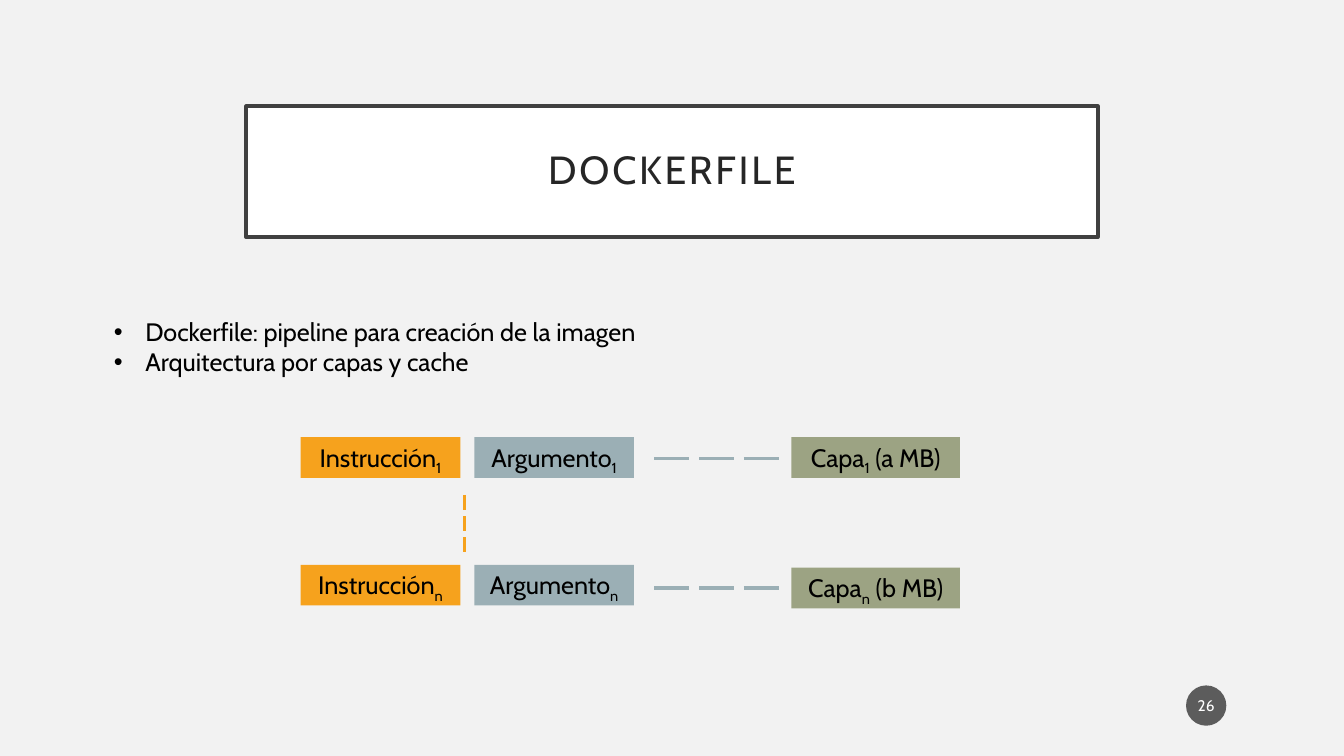
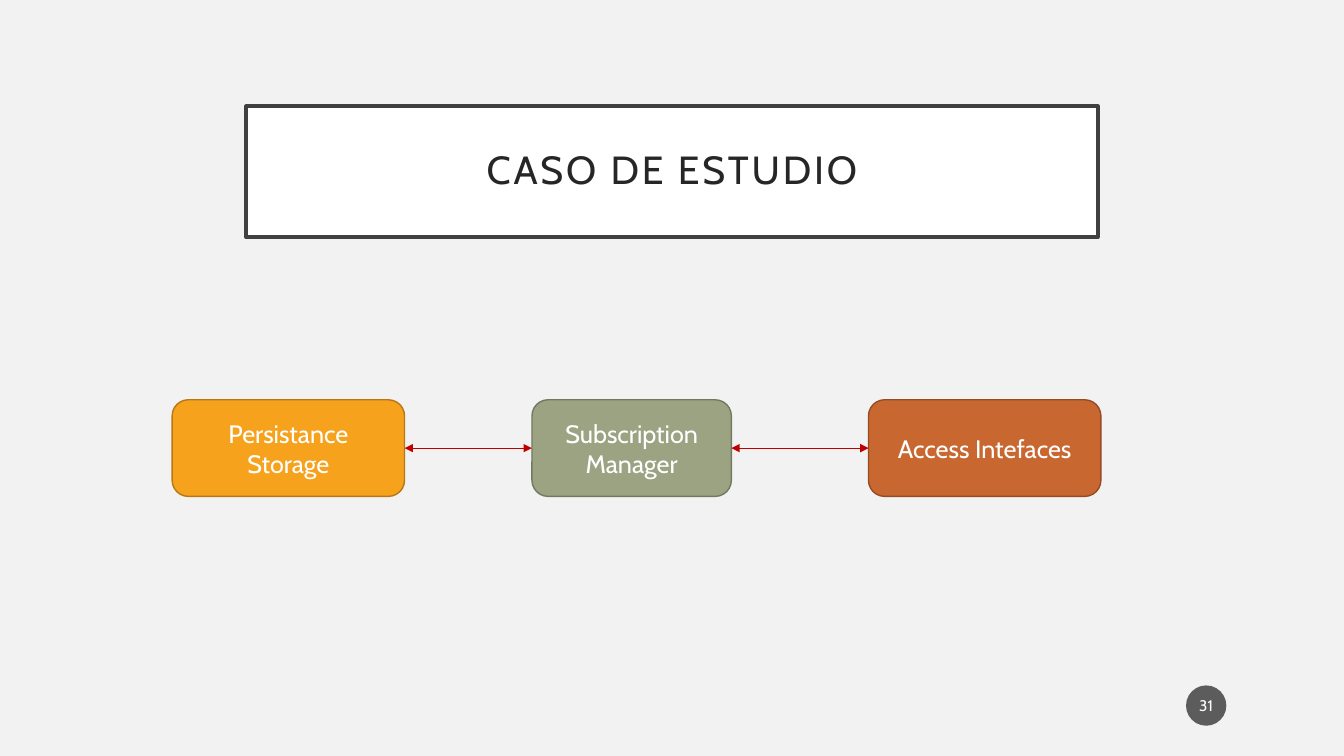
from lxml import etree
from pptx import Presentation
from pptx.dml.color import RGBColor
from pptx.enum.shapes import MSO_CONNECTOR, MSO_SHAPE
from pptx.enum.text import MSO_ANCHOR, MSO_AUTO_SIZE, PP_ALIGN
from pptx.oxml.ns import qn
from pptx.util import Pt

RECT = MSO_SHAPE.RECTANGLE
ROUNDED = MSO_SHAPE.ROUNDED_RECTANGLE
OVAL = MSO_SHAPE.OVAL
STRAIGHT = MSO_CONNECTOR.STRAIGHT
TOP = MSO_ANCHOR.TOP
MIDDLE = MSO_ANCHOR.MIDDLE
CENTER = PP_ALIGN.CENTER
FIT_SHAPE = MSO_AUTO_SIZE.SHAPE_TO_FIT_TEXT

FONT = "Cabin"
COLORS = {
    "background": "F2F2F2",
    "white": "FFFFFF",
    "black": "000000",
    "title": "262626",
    "frame": "404040",
    "badge": "1D1D1D",
    "orange": "F6A21D",
    "orange_edge": "B67815",
    "blue": "9BAFB5",
    "green": "9CA383",
    "green_edge": "737961",
    "rust": "C96731",
    "rust_edge": "954C24",
    "arrow": "C00000",
}
RGB = {name: RGBColor.from_string(value) for name, value in COLORS.items()}


def add_box(slide, preset, place, fill, runs, size=18, color="black", edge=None, edge_width=1):
    box = slide.shapes.add_shape(preset, *[Pt(length) for length in place])
    box.shadow.inherit = False
    box.fill.solid()
    box.fill.fore_color.rgb = RGB[fill]
    if edge:
        box.line.color.rgb = RGB[edge]
        box.line.width = Pt(edge_width)
    else:
        box.line.fill.background()
    box.text_frame.word_wrap = True
    box.text_frame.vertical_anchor = MIDDLE
    paragraph = box.text_frame.paragraphs[0]
    paragraph.alignment = CENTER
    paragraph.font.name = FONT
    paragraph.font.size = Pt(size)
    paragraph.font.color.rgb = RGB[color]
    for text, baseline in runs:
        run = paragraph.add_run()
        run.text = text
        if baseline:
            run._r.get_or_add_rPr().set("baseline", str(baseline * 1000))
    return box


def add_line(slide, start, end, color, width):
    line = slide.shapes.add_connector(STRAIGHT, *[Pt(length) for length in start + end])
    line.line.color.rgb = RGB[color]
    line.line.width = Pt(width)
    etree.SubElement(line._element.spPr, qn("a:effectLst"))
    return line


prs = Presentation()
prs.slide_width = Pt(960)
prs.slide_height = Pt(540)
prs.slide_master.background.fill.solid()
prs.slide_master.background.fill.fore_color.rgb = RGB["background"]

slides = []
for heading, number in [("DOCKERFILE", "26"), ("CASO DE ESTUDIO", "31")]:
    slide = prs.slides.add_slide(prs.slide_layouts[6])
    slides.append(slide)

    title = add_box(slide, RECT, (175.8, 75.8, 608.4, 93.6), "white", [(heading, 0)],
                    28, "title", "frame", 2.5)
    frame = title.text_frame
    frame.margin_left = frame.margin_right = frame.margin_top = frame.margin_bottom = Pt(14.4)
    frame.paragraphs[0].line_spacing = 0.9
    frame.paragraphs[0].runs[0]._r.get_or_add_rPr().set("spc", "200")

    badge = add_box(slide, OVAL, (847.2, 489.6, 28.8, 28.8), "badge", [(number, 0)], 11, "white")
    badge.text_frame.margin_left = badge.text_frame.margin_right = Pt(1.4)
    badge_color = badge._element.spPr.find(qn("a:solidFill")).find(qn("a:srgbClr"))
    etree.SubElement(badge_color, qn("a:alpha")).set("val", "70000")

dockerfile, case_study = slides

summary = dockerfile.shapes.add_textbox(Pt(74.2), Pt(222.5), Pt(405.4), Pt(51)).text_frame
summary.word_wrap = True
points = ["Dockerfile: pipeline para creación de la imagen", "Arquitectura por capas y cache"]
summary.text = "\n".join(points)
for paragraph in summary.paragraphs:
    paragraph.font.name = FONT
    paragraph.font.size = Pt(18)
    paragraph.font.color.rgb = RGB["black"]
    properties = paragraph._p.get_or_add_pPr()
    properties.set("marL", str(Pt(22.5)))
    properties.set("indent", str(-Pt(22.5)))
    bullet_font = etree.Element(qn("a:buFont"), typeface="Arial")
    bullet = etree.Element(qn("a:buChar"), char="•")
    properties.insert(0, bullet_font)
    bullet_font.addnext(bullet)

ROW_HEIGHT = 29.1
DASHES = 3
for index, size_label, step_top, layer_top, dash_y in [
    ("1", " (a MB)", 312.3, 312.3, 327.5),
    ("n", " (b MB)", 403.4, 405.5, 419.9),
]:
    for name, suffix, left, top, width, fill in [
        ("Instrucción", "", 214.8, step_top, 114, "orange"),
        ("Argumento", "", 338.8, step_top, 114, "blue"),
        ("Capa", size_label, 565.2, layer_top, 120.5, "green"),
    ]:
        runs = [(name, 0), (index, -25)]
        if suffix:
            runs.append((suffix, 0))
        cell = add_box(dockerfile, RECT, (left, top, width, ROW_HEIGHT), fill, runs)
        cell.text_frame.vertical_anchor = TOP
        cell.text_frame.auto_size = FIT_SHAPE
    for step in range(DASHES):
        dash_x = 467.2 + step * 32.1
        add_line(dockerfile, (dash_x, dash_y), (dash_x + 24.8, dash_y), "blue", 2.5)

for step in range(DASHES):
    dash_top = 353.5 + step * 15.1
    add_line(dockerfile, (331.9, dash_top), (331.9, dash_top + 10.5), "orange", 2.5)

FLOW_TOP, FLOW_HEIGHT = 285.6, 69
FLOW_MIDDLE = FLOW_TOP + FLOW_HEIGHT / 2
LEFT_SIDE, RIGHT_SIDE = 1, 3
components = []
for name, left, width, fill in [
    ("Persistance Storage", 123, 166, "orange"),
    ("Subscription Manager", 380, 142.4, "green"),
    ("Access Intefaces", 620.4, 166, "rust"),
]:
    components.append(add_box(case_study, ROUNDED, (left, FLOW_TOP, width, FLOW_HEIGHT), fill,
                              [(name, 0)], color="white", edge=fill + "_edge"))

for source, target in zip(components, components[1:]):
    start = ((source.left + source.width) / Pt(1), FLOW_MIDDLE)
    end = (target.left / Pt(1), FLOW_MIDDLE)
    arrow = add_line(case_study, start, end, "arrow", 0.5)
    arrow.begin_connect(source, RIGHT_SIDE)
    arrow.end_connect(target, LEFT_SIDE)
    for tip in ("a:headEnd", "a:tailEnd"):
        etree.SubElement(arrow.line._get_or_add_ln(), qn(tip)).set("type", "triangle")

prs.save("out.pptx")
